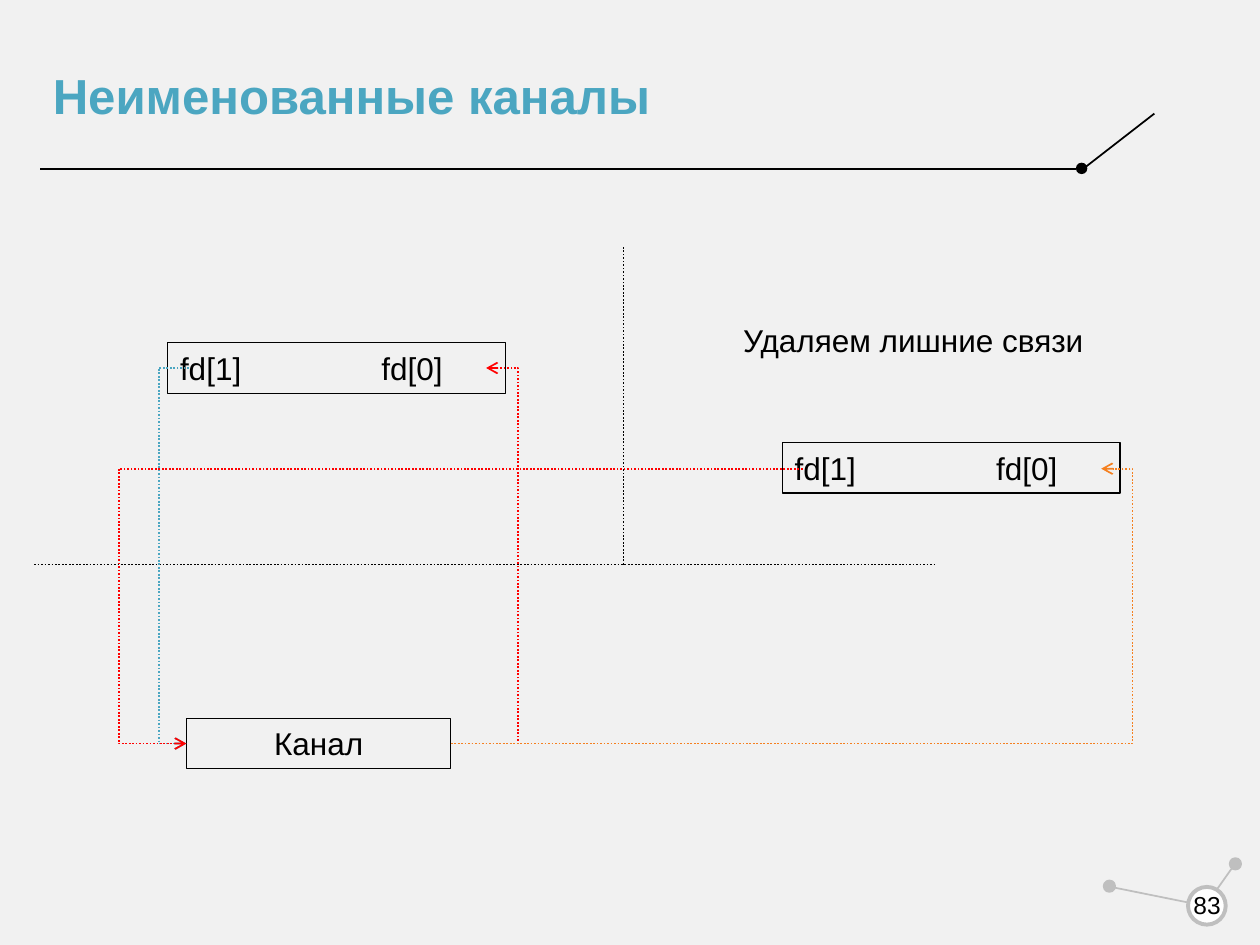
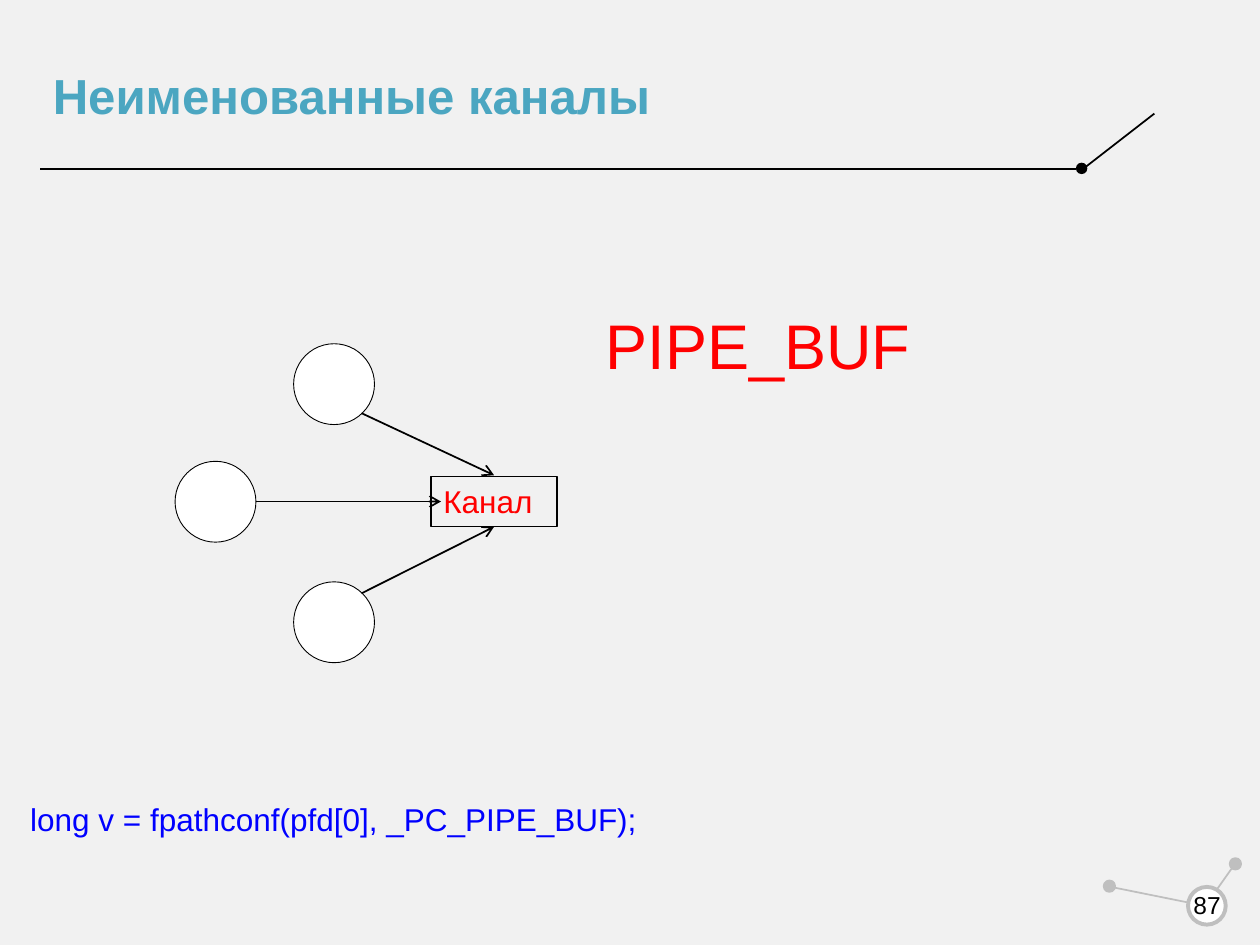
import dataclasses
import typing

import lxml.etree
import pptx
import pptx.dml.color
import pptx.enum.dml
import pptx.enum.shapes
import pptx.enum.text
import pptx.oxml.ns
import pptx.util

Cm = pptx.util.Cm
Pt = pptx.util.Pt
Align = pptx.enum.text.PP_ALIGN
Anchor = pptx.enum.text.MSO_ANCHOR
Kind = pptx.enum.shapes.MSO_SHAPE
Wire = pptx.enum.shapes.MSO_CONNECTOR
Point = tuple[float, float]

FONT = "Arial"
TITLE = "Неименованные каналы"
HUES = {
    "page": "F1F1F1",
    "ink": "000000",
    "teal": "4BA6C1",
    "red": "FF0000",
    "orange": "F58020",
    "blue": "0000FF",
    "grey": "BFBFBF",
    "white": "FFFFFF",
}
DOT = 0.23
ROW = 1.02
TAB = 4.06


@dataclasses.dataclass
class Label:
    text: str
    left: float
    top: float
    width: float
    height: float = ROW
    hue: str = "ink"
    size: float = 18
    align: Align = Align.LEFT
    framed: bool = False


@dataclasses.dataclass
class Disc:
    left: float
    top: float
    size: float
    fill: str
    edge: typing.Optional[str] = None
    weight: float = 1


@dataclasses.dataclass
class Link:
    start: Point
    end: Point
    hue: str = "ink"
    bend: typing.Optional[float] = None
    dotted: bool = False
    arrow: bool = False


def paint(hue: str) -> pptx.dml.color.RGBColor:
    return pptx.dml.color.RGBColor.from_string(HUES[hue])


def add_node(parent, tag: str, **attrs: str):
    return lxml.etree.SubElement(parent, pptx.oxml.ns.qn(tag), attrs)


def style_text(frame, text: str, hue: str, size: float,
               align: Align = Align.LEFT, bold: bool = False) -> None:
    frame.text = text
    frame.word_wrap = True
    for para in frame.paragraphs:
        para.alignment = align
        for run in para.runs:
            run.font.name = FONT
            run.font.size = Pt(size)
            run.font.bold = bold
            run.font.color.rgb = paint(hue)


def add_label(slide, label: Label):
    place = [Cm(n) for n in (label.left, label.top, label.width, label.height)]
    if label.framed:
        shape = slide.shapes.add_shape(Kind.RECTANGLE, *place)
        shape.shadow.inherit = False
        shape.fill.background()
        shape.line.color.rgb = paint("ink")
        shape.line.width = Pt(0.75)
    else:
        shape = slide.shapes.add_textbox(*place)
    frame = shape.text_frame
    frame.vertical_anchor = Anchor.TOP
    style_text(frame, label.text, label.hue, label.size, label.align)
    return shape


def add_pair(slide, left: float, top: float) -> None:
    shape = add_label(slide, Label("fd[1]\tfd[0]", left, top, 6.81, framed=True))
    props = shape.text_frame.paragraphs[0]._p.get_or_add_pPr()
    tabs = add_node(props, "a:tabLst")
    add_node(tabs, "a:tab", pos=str(int(Cm(TAB))), algn="l")


def add_disc(slide, disc: Disc) -> None:
    shape = slide.shapes.add_shape(
        Kind.OVAL, Cm(disc.left), Cm(disc.top), Cm(disc.size), Cm(disc.size))
    shape.shadow.inherit = False
    shape.fill.solid()
    shape.fill.fore_color.rgb = paint(disc.fill)
    if disc.edge:
        shape.line.color.rgb = paint(disc.edge)
        shape.line.width = Pt(disc.weight)
    else:
        shape.line.fill.background()


def add_link(slide, link: Link) -> None:
    kind = Wire.STRAIGHT if link.bend is None else Wire.ELBOW
    ends = [Cm(n) for n in (*link.start, *link.end)]
    wire = slide.shapes.add_connector(kind, *ends)
    wire.line.color.rgb = paint(link.hue)
    wire.line.width = Pt(1)
    if link.dotted:
        wire.line.dash_style = pptx.enum.dml.MSO_LINE.ROUND_DOT
    props = wire.element.spPr
    if link.arrow:
        add_node(props.find(pptx.oxml.ns.qn("a:ln")), "a:tailEnd", type="arrow")
    if link.bend is not None:
        ratio = (link.bend - link.start[0]) / (link.end[0] - link.start[0])
        guides = props.find(".//" + pptx.oxml.ns.qn("a:avLst"))
        add_node(guides, "a:gd", name="adj1", fmla=f"val {round(ratio * 100000)}")
    add_node(props, "a:effectLst")


def add_page(deck, number: int):
    slide = deck.slides.add_slide(deck.slide_layouts[5])
    title = slide.shapes.title
    title.left, title.top = Cm(0.81), Cm(0.71)
    title.width, title.height = Cm(20.88), Cm(2.41)
    title.text_frame.vertical_anchor = Anchor.MIDDLE
    style_text(title.text_frame, TITLE, "teal", 28.1, bold=True)

    for link in (
        Link((0.81, 3.4), (21.69, 3.4)),
        Link((21.84, 3.4), (23.27, 2.29)),
        Link((24.87, 17.45), (24.51, 17.96), "grey"),
        Link((22.4, 17.88), (24.18, 18.24), "grey"),
    ):
        add_link(slide, link)
    for disc in (
        Disc(21.69, 3.28, DOT, "ink"),
        Disc(24.79, 17.3, DOT, "grey", "grey"),
        Disc(22.25, 17.75, DOT, "grey", "grey"),
        Disc(23.95, 17.88, 0.76, "white", "grey", 2.25),
    ):
        add_disc(slide, disc)

    badge = add_label(slide, Label(str(number), 23.8, 17.73, 1.07,
                                   size=14, align=Align.CENTER))
    frame = badge.text_frame
    frame.vertical_anchor = Anchor.MIDDLE
    frame.margin_left = frame.margin_right = 0
    frame.margin_top = frame.margin_bottom = 0
    return slide


def draw_links(deck) -> None:
    slide = add_page(deck, 83)
    add_pair(slide, 3.38, 6.91)
    add_pair(slide, 15.77, 8.92)
    add_label(slide, Label("Канал", 3.76, 14.48, 5.33,
                           align=Align.CENTER, framed=True))
    add_label(slide, Label("Удаляем лишние связи", 14.73, 6.35, 7.6, 0.97))

    inlet, outlet = (3.76, 14.99), (9.09, 14.99)
    for start, end in (((0.69, 11.38), (18.85, 11.38)),
                       ((12.57, 11.38), (12.57, 4.98))):
        add_link(slide, Link(start, end, dotted=True))
    for start, end, hue, bend in (
        ((3.81, 7.42), inlet, "teal", 3.2),
        (outlet, (9.8, 7.42), "red", 10.44),
        ((16.18, 9.45), inlet, "red", 2.39),
        (outlet, (22.2, 9.45), "orange", 22.83),
    ):
        add_link(slide, Link(start, end, hue, bend, dotted=True, arrow=True))


def draw_buffer(deck) -> None:
    slide = add_page(deck, 87)
    add_label(slide, Label("Канал", 8.69, 9.6, 2.54, hue="red", framed=True))
    for left, top in ((5.92, 11.73), (3.53, 9.3), (5.92, 6.93)):
        add_disc(slide, Disc(left, top, 1.63, "white", "ink", 0.5))
    for start, end in (
        ((7.29, 8.33), (9.96, 9.58)),
        ((5.16, 10.11), (8.89, 10.11)),
        ((7.29, 11.96), (9.96, 10.62)),
    ):
        add_link(slide, Link(start, end, arrow=True))
    add_label(slide, Label("PIPE_BUF", 11.96, 6.05, 7, 1.78, "red", 36))
    add_label(slide, Label("long v = fpathconf(pfd[0], _PC_PIPE_BUF);",
                           0.36, 16, 13.87, hue="blue"))


deck = pptx.Presentation()
deck.slide_width, deck.slide_height = Cm(25.4), Cm(19.05)
ground = deck.slide_master.background.fill
ground.solid()
ground.fore_color.rgb = paint("page")
draw_links(deck)
draw_buffer(deck)
deck.save("out.pptx")
